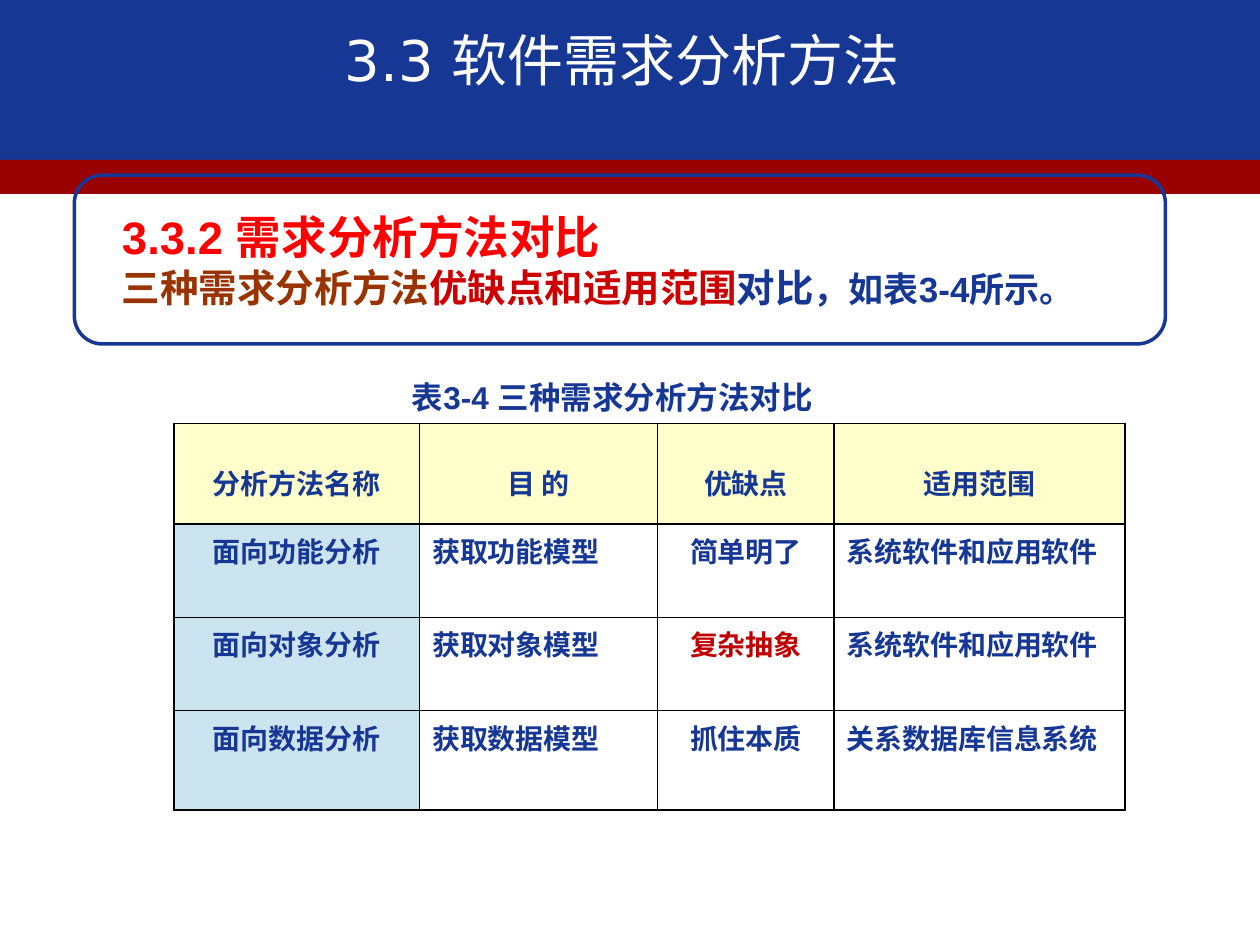
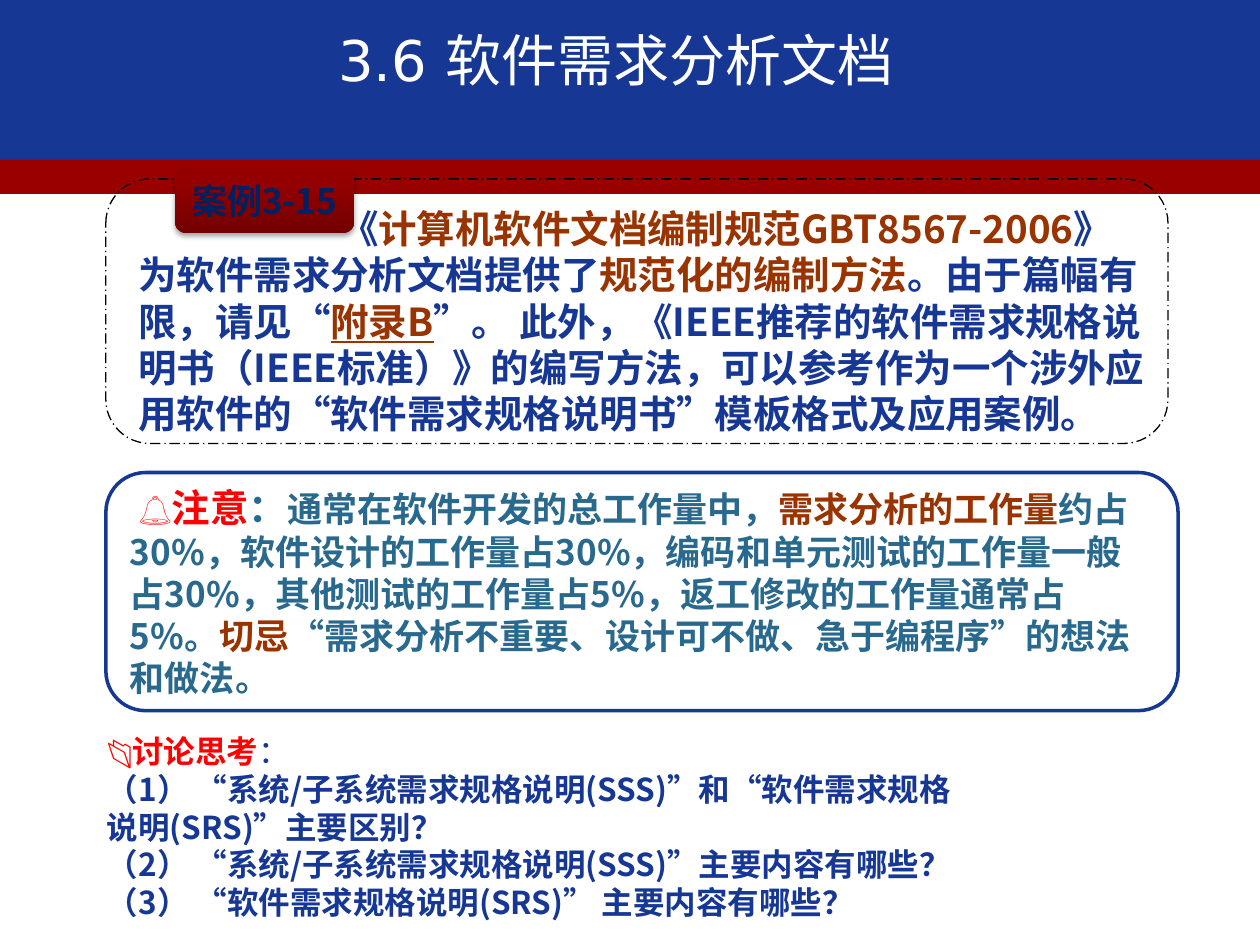
from dataclasses import dataclass

from pptx import Presentation
from pptx.dml.color import RGBColor
from pptx.enum.dml import MSO_LINE
from pptx.enum.shapes import MSO_SHAPE
from pptx.enum.text import MSO_ANCHOR, MSO_AUTO_SIZE, PP_ALIGN
from pptx.oxml import parse_xml
from pptx.oxml.ns import nsdecls, qn
from pptx.oxml.xmlchemy import OxmlElement
from pptx.util import Inches, Pt


@dataclass(frozen=True)
class Theme:
    """Colours, fonts and type sizes shared by the slides."""

    blue: str = "163794"
    band_red: str = "990000"
    white: str = "FFFFFF"
    black: str = "000000"
    red: str = "FF0000"
    crimson: str = "CC0000"
    warning: str = "C00000"
    brown: str = "993300"
    teal: str = "29698D"
    navy: str = "002060"
    header_fill: str = "FFFFCC"
    name_fill: str = "CCE3F0"
    badge_dark: str = "720000"
    badge_light: str = "940000"
    title_font: str = "DejaVu Sans"
    latin_font: str = "Arial"
    table_font: str = "Times New Roman"
    chinese_font: str = "Noto Sans CJK SC"
    title_size: int = 32
    heading_size: int = 26
    lead_size: int = 22
    body_size: int = 20
    small_size: int = 18
    table_size: int = 16


THEME = Theme()


@dataclass
class Words:
    """One run of text with its look."""

    text: str
    color: str = THEME.blue
    size: int = THEME.lead_size
    font: str = THEME.chinese_font
    bold: bool = True
    underline: bool = False


class Deck:
    """Draws elements on the current slide, placed on a 100 by 75 grid."""

    columns, rows = 100, 75

    def __init__(self, theme):
        self.theme = theme
        self.presentation = Presentation()
        self.presentation.slide_width = Inches(10)
        self.presentation.slide_height = Inches(7.5)
        self.layout = self.presentation.slide_layouts[5]
        self.slide = None

    def across(self, columns):
        return round(self.presentation.slide_width * columns / self.columns)

    def down(self, rows):
        return round(self.presentation.slide_height * rows / self.rows)

    def place(self, left, top, width, height):
        return self.across(left), self.down(top), self.across(width), self.down(height)

    def new_slide(self, title):
        first = self.slide is None
        self.slide = self.presentation.slides.add_slide(self.layout)
        if first:
            self.bands()
        shape = self.slide.shapes.title
        shape.left, shape.top, shape.width, shape.height = self.place(4.7, 1.8, 89.4, 5.8)
        shape.text_frame.auto_size = MSO_AUTO_SIZE.NONE
        words = Words(title, self.theme.white, self.theme.title_size, self.theme.title_font, False)
        self.compose(shape.text_frame, [[words]], PP_ALIGN.CENTER, MSO_ANCHOR.MIDDLE)

    def bands(self):
        bands = [(0, 12.9, self.theme.blue), (12.7, 2.7, self.theme.band_red)]
        for index, (top, height, color) in enumerate(bands):
            band = self.shape(MSO_SHAPE.RECTANGLE, (0, top, self.columns, height), fill=color)
            self.layout.shapes.element.insert(2 + index, band.element)

    def compose(self, frame, paragraphs, align=PP_ALIGN.LEFT, anchor=MSO_ANCHOR.TOP, wrap=True):
        frame.word_wrap = wrap
        frame.vertical_anchor = anchor
        for index, line in enumerate(paragraphs):
            paragraph = frame.add_paragraph() if index else frame.paragraphs[0]
            paragraph.alignment = align
            for words in line:
                self.run(paragraph, words)

    def run(self, paragraph, words):
        run = paragraph.add_run()
        run.text = words.text
        font = run.font
        font.name, font.size = words.font, Pt(words.size)
        font.bold, font.underline = words.bold, words.underline
        font.color.rgb = RGBColor.from_string(words.color)
        east_asian = OxmlElement("a:ea")
        east_asian.set("typeface", self.theme.chinese_font)
        run._r.rPr.find(qn("a:latin")).addnext(east_asian)

    def text(self, box, paragraphs, anchor=MSO_ANCHOR.TOP, wrap=True, first_indent=0):
        shape = self.slide.shapes.add_textbox(*self.place(*box))
        self.compose(shape.text_frame, paragraphs, anchor=anchor, wrap=wrap)
        shape.text_frame.auto_size = MSO_AUTO_SIZE.SHAPE_TO_FIT_TEXT
        if first_indent:
            properties = shape.text_frame.paragraphs[0]._p.get_or_add_pPr()
            properties.set("marL", "0")
            properties.set("indent", str(self.across(first_indent)))

    def shape(self, kind, box, fill=None, line=None, weight=2, dash=None):
        shape = self.slide.shapes.add_shape(kind, *self.place(*box))
        shape.shadow.inherit = False
        if fill:
            shape.fill.solid()
            shape.fill.fore_color.rgb = RGBColor.from_string(fill)
        else:
            shape.fill.background()
        if line:
            shape.line.color.rgb = RGBColor.from_string(line)
            shape.line.width = Pt(weight)
            if dash:
                shape.line.dash_style = dash
        else:
            shape.line.fill.background()
        return shape

    def badge(self, box, label):
        shape = self.shape(MSO_SHAPE.ROUNDED_RECTANGLE, box)
        shape.fill.gradient()
        shape.fill.gradient_angle = 90
        colors = [(0, self.theme.badge_dark), (0.8, self.theme.badge_light)]
        for stop, (position, color) in zip(shape.fill.gradient_stops, colors):
            stop.position = position
            stop.color.rgb = RGBColor.from_string(color)
        shadow = parse_xml(
            f'<a:outerShdw {nsdecls("a")} blurRad="{Pt(3.1)}" dist="{Pt(1.8)}" dir="5400000">'
            f'<a:srgbClr val="{self.theme.black}"><a:alpha val="35000"/></a:srgbClr></a:outerShdw>'
        )
        shape.element.spPr.find(qn("a:effectLst")).append(shadow)
        words = Words(label, self.theme.navy, self.theme.body_size)
        self.compose(shape.text_frame, [[words]], PP_ALIGN.CENTER, MSO_ANCHOR.MIDDLE, False)

    def table(self, left, top, widths, heights, records, centered, highlight):
        box = self.place(left, top, sum(widths), sum(heights))
        table = self.slide.shapes.add_table(len(heights), len(widths), *box).table
        table.first_row = table.horz_banding = False
        for column, width in zip(table.columns, widths):
            column.width = self.across(width)
        for row, height in zip(table.rows, heights):
            row.height = self.down(height)
        for row_index, record in enumerate(records):
            for column_index, value in enumerate(record):
                cell = table.cell(row_index, column_index)
                header = row_index == 0
                middle = header or column_index in centered
                color = self.theme.warning if value == highlight else self.theme.blue
                words = Words(value, color, self.theme.table_size, self.theme.table_font)
                self.compose(cell.text_frame, [[words]], PP_ALIGN.CENTER if middle else PP_ALIGN.LEFT)
                cell.margin_top = self.down(3.1 if header else 0.5)
                self.paint_cell(cell, header, column_index == 0)

    def paint_cell(self, cell, header, name):
        properties = cell._tc.get_or_add_tcPr()
        for side in ("lnL", "lnR", "lnT", "lnB"):
            properties.append(parse_xml(
                f'<a:{side} {nsdecls("a")} w="{Pt(1)}"><a:solidFill>'
                f'<a:srgbClr val="{self.theme.black}"/></a:solidFill></a:{side}>'
            ))
        if header or name:
            cell.fill.solid()
            color = self.theme.header_fill if header else self.theme.name_fill
            cell.fill.fore_color.rgb = RGBColor.from_string(color)
        else:
            cell.fill.background()


def comparison_slide(deck):
    theme = deck.theme
    deck.new_slide("3.3 软件需求分析方法")
    deck.table(
        13.8, 33.6, [19.5, 18.9, 14, 23.1], [8, 7.4, 7.4, 7.9],
        [
            ["分析方法名称", "目 的", "优缺点", "适用范围"],
            ["面向功能分析", "获取功能模型", "简单明了", "系统软件和应用软件"],
            ["面向对象分析", "获取对象模型", "复杂抽象", "系统软件和应用软件"],
            ["面向数据分析", "获取数据模型", "抓住本质", "关系数据库信息系统"],
        ],
        centered=(0, 2), highlight="复杂抽象",
    )
    latin = theme.latin_font
    heading = [Words("3.3.2 需求分析方法对比", theme.red, theme.heading_size, latin)]
    summary = [
        Words("三种需求分析方法", theme.brown, font=latin),
        Words("优缺点和适用范围", theme.crimson, font=latin),
        Words("对比", font=latin),
        Words("，如表3-4所示。", size=theme.body_size, font=latin),
    ]
    deck.text((8.7, 15.6, 83.4, 10), [heading, summary], MSO_ANCHOR.MIDDLE, wrap=False)
    caption = Words("表3-4 三种需求分析方法对比", size=theme.small_size, font=latin)
    deck.text((31.7, 29.5, 35.4, 4), [[caption]], wrap=False)
    deck.shape(MSO_SHAPE.ROUNDED_RECTANGLE, (5.9, 13.9, 86.6, 13.4), line=theme.blue)


def document_slide(deck):
    theme = deck.theme
    deck.new_slide("3.6 软件需求分析文档 ")
    small = theme.small_size
    questions = [
        "（1） “系统/子系统需求规格说明(SSS)”和“软件需求规格说明(SRS)”主要区别？",
        "（2） “系统/子系统需求规格说明(SSS)”主要内容有哪些？",
        "（3） “软件需求规格说明(SRS)” 主要内容有哪些？",
    ]
    discussion = [
        Words("📂讨论思考", theme.red, small, theme.latin_font),
        Words("：", size=small, font=theme.latin_font, bold=False),
    ]
    deck.text(
        (7.5, 57.6, 70.9, 16.2),
        [discussion] + [[Words(question, size=small)] for question in questions],
    )
    deck.shape(
        MSO_SHAPE.FLOWCHART_ALTERNATE_PROCESS, (8.4, 14.2, 84.3, 21),
        line=theme.black, weight=0.75, dash=MSO_LINE.LONG_DASH_DOT,
    )
    case = [
        Words("《"),
        Words("计算机软件文档编制规范GBT8567-2006", theme.brown),
        Words("》为软件需求分析文档提供了"),
        Words("规范化的编制方法", theme.brown),
        Words("。由于篇幅有限，请见“"),
        Words("附录B", theme.brown, underline=True),
        Words("”。 此外，《IEEE推荐的软件需求规格说明书（IEEE标准）》的编写方法，"
              "可以参考作为一个涉外应用软件的“软件需求规格说明书”模板格式及应用案例。"),
    ]
    deck.text((10, 15.7, 81.9, 19.5), [case], MSO_ANCHOR.MIDDLE, first_indent=16)
    deck.badge((13.9, 13.4, 14.2, 5.1), "案例3-15")
    body = theme.body_size
    warning = [
        Words(" 🔔注意", theme.red),
        Words("：", theme.teal),
        Words("通常在软件开发的总工作量中，", theme.teal, body),
        Words("需求分析的工作量", theme.brown, body),
        Words("约占30%，软件设计的工作量占30%，编码和单元测试的工作量一般占30%，"
              "其他测试的工作量占5%，返工修改的工作量通常占5%。", theme.teal, body),
        Words("切忌", theme.brown, body),
        Words("“需求分析不重要、设计可不做、急于编程序”的想法和做法。", theme.teal, body),
    ]
    note = deck.shape(
        MSO_SHAPE.ROUNDED_RECTANGLE, (8.4, 37.5, 85.1, 18.9), fill=theme.white, line=theme.blue
    )
    deck.compose(note.text_frame, [warning], anchor=MSO_ANCHOR.MIDDLE)


def main():
    deck = Deck(THEME)
    comparison_slide(deck)
    document_slide(deck)
    deck.presentation.save("out.pptx")


if __name__ == "__main__":
    main()
